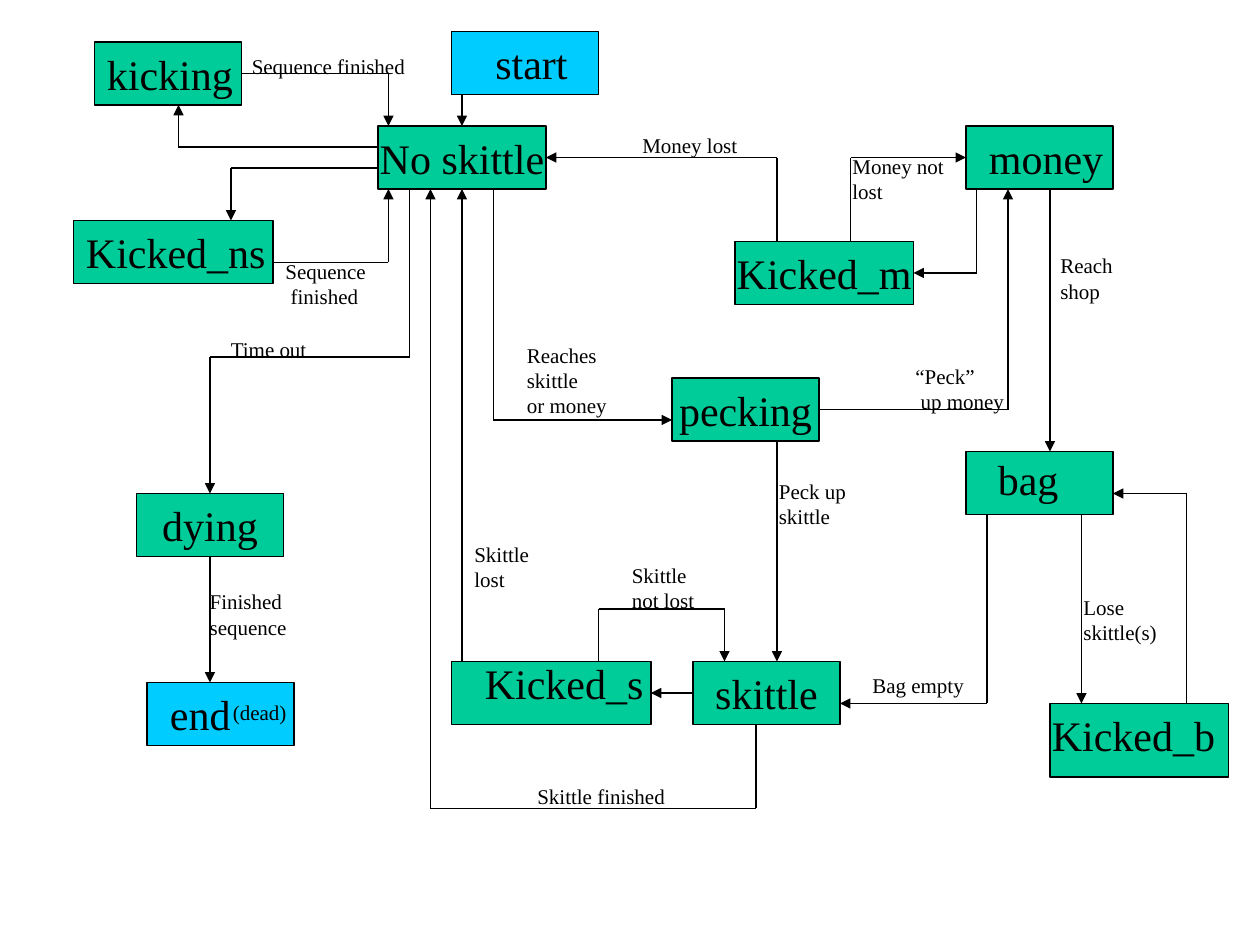
from dataclasses import dataclass

from lxml import etree
from pptx import Presentation
from pptx.dml.color import RGBColor
from pptx.enum.shapes import MSO_CONNECTOR, MSO_SHAPE
from pptx.enum.text import MSO_ANCHOR, MSO_AUTO_SIZE, PP_ALIGN
from pptx.oxml.ns import qn
from pptx.util import Emu, Inches, Pt

RECTANGLE = MSO_SHAPE.RECTANGLE
STRAIGHT = MSO_CONNECTOR.STRAIGHT
MIDDLE = MSO_ANCHOR.MIDDLE
CENTER = PP_ALIGN.CENTER
GROW = MSO_AUTO_SIZE.SHAPE_TO_FIT_TEXT

COLUMNS = 120  # a grid of twelve cells to the inch
SLIDE_WIDTH, SLIDE_HEIGHT = Inches(10), Inches(7.5)
CELL = SLIDE_WIDTH // COLUMNS

FONT = "Times New Roman"
NAME_SIZE, LABEL_SIZE = 24, 12
SLACK = 0.6  # columns added to each caption so that its lines never break
INK, GREEN, BLUE = "000000", "00CC99", "00CCFF"


@dataclass(frozen=True)
class State:
    column: float
    row: float
    columns: float = 14
    rows: float = 6
    fill: str = GREEN
    name: str = ""


@dataclass(frozen=True)
class Caption:
    text: str
    column: float
    row: float
    columns: float
    size: int = LABEL_SIZE
    last_indent: int = 0


STATES = [
    State(66, 63, name="skittle"),
    State(36, 12, 16, name="No skittle"),
    State(7, 21, 19),
    State(9, 4),
    State(43, 3, fill=BLUE),
    State(13, 47, name="dying"),
    State(64, 36, name="pecking"),
    State(43, 63, 19),
    State(92, 12),
    State(92, 43),
    State(100, 67, 17, 7),
    State(70, 23, 17, name="Kicked_m"),
    State(14, 65, fill=BLUE),
]

# Names that sit off-centre on their state
OFFSET_NAMES = [
    Caption("start", 46, 3, 9.3, NAME_SIZE),
    Caption("Kicked_ns", 7, 21, 24.5, NAME_SIZE),
    Caption("kicking", 9, 4, 14.4, NAME_SIZE),
    Caption("Kicked_s", 45, 62, 17.5, NAME_SIZE),
    Caption("money", 93, 12, 13.2, NAME_SIZE),
    Caption("bag", 93.85, 42.6, 8.2, NAME_SIZE),
    Caption("Kicked_b", 99, 67, 18, NAME_SIZE),
    Caption("end", 15, 65, 8.2, NAME_SIZE),
]

# Corner points in grid cells; each arrowhead is at the last point
TRANSITIONS = [
    [(44, 9), (44, 12)],
    [(36, 16), (22, 16), (22, 21)],
    [(26, 25), (37, 25), (37, 18)],
    [(36, 14), (17, 14), (17, 10)],
    [(23, 7), (37, 7), (37, 12)],
    [(39, 18), (39, 34), (20, 34), (20, 47)],
    [(20, 53), (20, 65)],
    [(57, 63), (57, 58), (69, 58), (69, 63)],
    [(44, 63), (44, 18)],
    [(100, 18), (100, 43)],
    [(94, 49), (94, 67), (80, 67)],
    [(103, 49), (103, 67)],
    [(113, 67), (113, 47), (106, 47)],
    [(93, 18), (93, 26), (87, 26)],
    [(81, 23), (81, 15), (92, 15)],
    [(74, 23), (74, 15), (52, 15)],
    [(47, 18), (47, 40), (64, 40)],
    [(66, 66), (62, 66)],
    [(72, 69), (72, 77), (41, 77), (41, 18)],
    [(74, 42), (74, 63)],
    [(78, 39), (96, 39), (96, 18)],
]

LABELS = [
    Caption("Reach\nshop", 99.8, 23.5, 7.9),
    Caption("Bag empty", 81.9, 63.5, 11),
    Caption("Lose\nskittle(s)", 102, 56, 9.4),
    Caption("Peck up\nskittle", 73, 45, 8.8),
    Caption("Finished\nsequence", 18.8, 55.5, 9.7),
    Caption("(dead)", 21, 66, 7.4),
    Caption("Sequence finished", 22.8, 4.5, 16.9),
    Caption("Sequence\nfinished", 26, 24, 10.1, last_indent=3),
    Caption("Time out", 20.8, 31.5, 9.6),
    Caption("Skittle\nnot lost", 59, 53, 8.3),
    Caption("Skittle\nlost", 44, 51, 7.6),
    Caption("Money lost", 60, 12, 11.4),
    Caption("Money not\nlost", 80, 14, 11),
    Caption("Reaches\nskittle\nor money", 49, 32, 10.4),
    Caption("“Peck”\nup money", 86, 34, 10.8, last_indent=3),
    Caption("Skittle finished", 50, 74, 14.5),
]


def cells(count: float) -> Emu:
    return Emu(round(count * CELL))


def rgb(hex_color: str) -> RGBColor:
    return RGBColor.from_string(hex_color)


def add_run(paragraph, text: str, size: int) -> None:
    run = paragraph.add_run()
    run.text = text
    run.font.name = FONT
    run.font.size = Pt(size)
    run.font.color.rgb = rgb(INK)


def add_state(shapes, state: State):
    box = shapes.add_shape(RECTANGLE, cells(state.column), cells(state.row),
                           cells(state.columns), cells(state.rows))
    box.shadow.inherit = False
    box.fill.solid()
    box.fill.fore_color.rgb = rgb(state.fill)
    box.line.color.rgb = rgb(INK)
    box.line.width = Pt(0.75)
    if state.name:
        frame = box.text_frame
        frame.word_wrap = False
        frame.vertical_anchor = MIDDLE
        frame.paragraphs[0].alignment = CENTER
        add_run(frame.paragraphs[0], state.name, NAME_SIZE)
    return box


def side_middles(state: State) -> list[tuple[float, float]]:
    """Middles of the sides, in the order of the connection sites."""
    center = state.column + state.columns / 2
    middle = state.row + state.rows / 2
    return [(center, state.row), (state.column, middle),
            (center, state.row + state.rows), (state.column + state.columns, middle)]


def add_transition(shapes, corners: list, sites: dict) -> None:
    """Draw one route, joined to a state where an end meets a side's middle."""
    for start, end in zip(corners, corners[1:]):
        segment = shapes.add_connector(STRAIGHT, *map(cells, start + end))
        segment.line.color.rgb = rgb(INK)
        segment.line.width = Pt(0.75)
        properties = segment._element.spPr
        etree.SubElement(properties, qn("a:effectLst"))
        if start == corners[0] and start in sites:
            segment.begin_connect(*sites[start])
        if end == corners[-1]:
            etree.SubElement(properties.find(qn("a:ln")), qn("a:tailEnd"), type="triangle")
            if end in sites:
                segment.end_connect(*sites[end])


def add_caption(shapes, caption: Caption) -> None:
    lines = caption.text.split("\n")
    height = Inches(0.1 + len(lines) * caption.size / 60)
    box = shapes.add_textbox(cells(caption.column), cells(caption.row),
                             cells(caption.columns + SLACK), height)
    frame = box.text_frame
    frame.word_wrap = True
    frame.auto_size = GROW
    for index, line in enumerate(lines):
        paragraph = frame.add_paragraph() if index else frame.paragraphs[0]
        add_run(paragraph, line, caption.size)
    if caption.last_indent:
        paragraph._p.get_or_add_pPr().set("marL", str(Pt(caption.last_indent)))


def main() -> None:
    presentation = Presentation()
    presentation.slide_width = SLIDE_WIDTH
    presentation.slide_height = SLIDE_HEIGHT
    shapes = presentation.slides.add_slide(presentation.slide_layouts[6]).shapes

    sites = {}
    for state in STATES:
        box = add_state(shapes, state)
        sites.update({point: (box, site) for site, point in enumerate(side_middles(state))})
    for name in OFFSET_NAMES:
        add_caption(shapes, name)
    for corners in TRANSITIONS:
        add_transition(shapes, corners, sites)
    for label in LABELS:
        add_caption(shapes, label)

    presentation.save("out.pptx")


if __name__ == "__main__":
    main()
